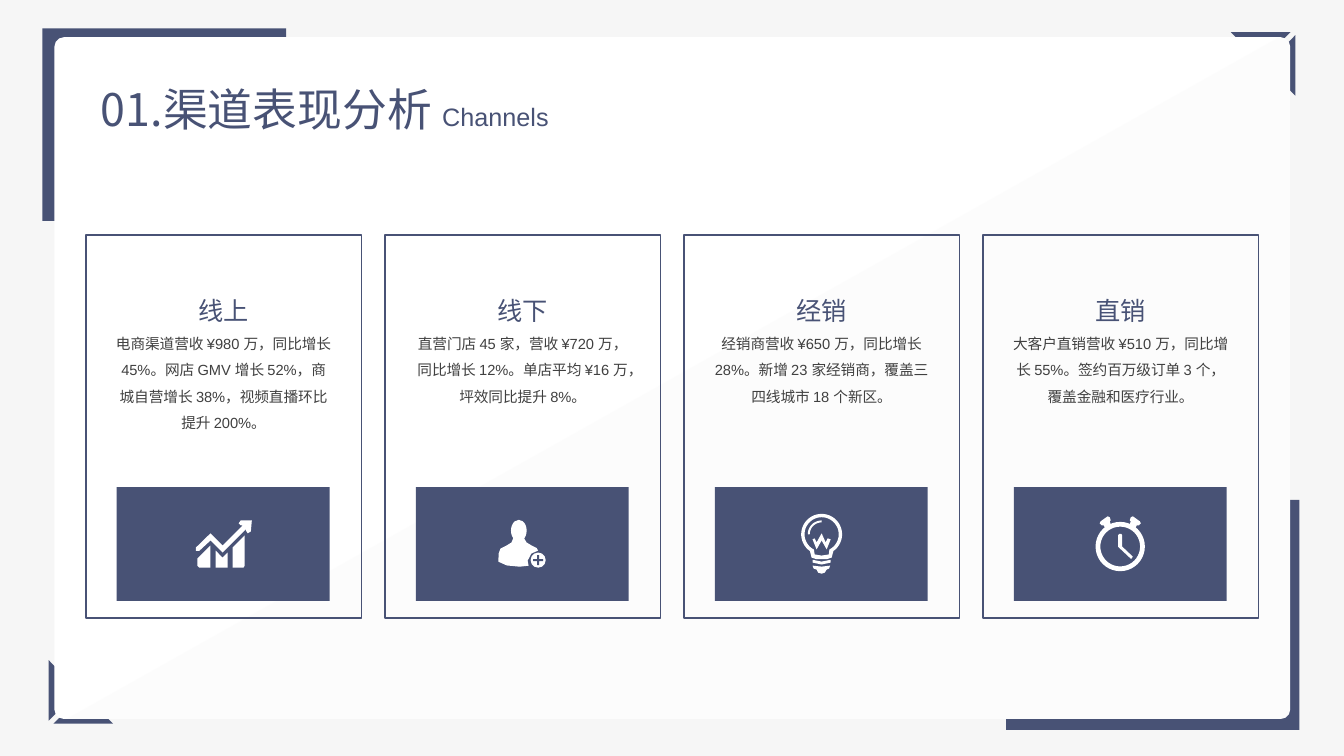
from math import cos, radians, sin

from lxml import etree
from pptx import Presentation
from pptx.dml.color import RGBColor
from pptx.enum.shapes import MSO_SHAPE
from pptx.enum.text import MSO_ANCHOR, MSO_AUTO_SIZE, PP_ALIGN
from pptx.oxml.ns import qn
from pptx.util import Pt

RECT, ROUND = MSO_SHAPE.RECTANGLE, MSO_SHAPE.ROUNDED_RECTANGLE
OVAL, CROSS = MSO_SHAPE.OVAL, MSO_SHAPE.CROSS
TOP, GROW = MSO_ANCHOR.TOP, MSO_AUTO_SIZE.SHAPE_TO_FIT_TEXT
LEFT, CENTER = PP_ALIGN.LEFT, PP_ALIGN.CENTER
NAVY, WHITE, GRAY = "485275", "FFFFFF", "404040"
HAN = "Noto Sans CJK SC"
WIDE, HIGH = 960, 540


def color(code):
    """Turn a hex string into a colour."""
    return RGBColor.from_string(code)


def paint(shape, fill=None, line=None):
    """Set fill and line and drop the shadow."""
    shape.shadow.inherit = False
    if fill:
        shape.fill.solid()
        shape.fill.fore_color.rgb = color(fill)
    else:
        shape.fill.background()
    if line:
        shape.line.color.rgb = color(line)
        shape.line.width = Pt(1)
    else:
        shape.line.fill.background()
    return shape


def block(shapes, kind, box, fill=None, line=None):
    """Add a preset shape in a box given in points."""
    return paint(shapes.add_shape(kind, *map(Pt, box)), fill, line)


def outline(shapes, loops, fill, left=0, top=0):
    """Add one freeform made of closed loops, shifted by left and top."""
    form = None
    for loop in loops:
        first, *rest = [(Pt(left + x), Pt(top + y)) for x, y in loop]
        if form is None:
            form = shapes.build_freeform(*first, scale=1.0)
        else:
            form.move_to(*first)
        form.add_line_segments(rest, close=True)
    return paint(form.convert_to_shape(), fill)


def arc(mid, radius, start, end, steps=40):
    """List points along an arc, with angles running clockwise."""
    turns = [radians(start + (end - start) * i / steps) for i in range(steps + 1)]
    return [(mid[0] + radius * cos(t), mid[1] + radius * sin(t)) for t in turns]


def write(para, words, size, shade=NAVY, face="Arial", align=CENTER, space=None):
    """Add a formatted run to a paragraph."""
    para.alignment = align
    if space:
        para.line_spacing = space
    run = para.add_run()
    run.text = words
    run.font.size = Pt(size)
    run.font.name = face
    run.font.color.rgb = color(shade)
    etree.SubElement(run.font._element, qn("a:ea")).set("typeface", HAN)


def frame(shapes):
    """Draw the corner marks and the white sheet."""
    block(shapes, RECT, (30.2, 20.2, 174.2, 137.5), NAVY)
    block(shapes, RECT, (718.6, 357.1, 209.5, 164.2), NAVY)
    corner = [
        [(34.8, 471.6), (45.4, 482.4), (45.4, 504), (34.8, 514.8)],
        [(38.2, 517), (80.8, 517), (70.2, 506.3), (48.8, 506.3)],
    ]
    outline(shapes, corner, NAVY)
    outline(shapes, [[(WIDE - x, HIGH - y) for x, y in loop] for loop in corner], NAVY)
    left, top, width, height = sheet = (38.9, 26.6, 882.7, 487)
    block(shapes, ROUND, sheet, WHITE).adjustments[0] = 0.014
    right, base, bend = left + width, top + height, 6.8
    edge = [(left + 8.6, base), (right - 8, top)]
    edge += arc((right - bend, top + bend), bend, -90, 0, 8)
    edge += arc((right - bend, base - bend), bend, 0, 90, 8)
    sheen = outline(shapes, [edge], "F2F2F2")
    tint = sheen._element.find(".//" + qn("a:srgbClr"))
    etree.SubElement(tint, qn("a:alpha")).set("val", "16000")


def heading(title, box):
    """Place and fill the title placeholder."""
    title.left, title.top, title.width, title.height = map(Pt, box)
    body = title.text_frame
    body.word_wrap, body.auto_size = False, GROW
    body.vertical_anchor = TOP
    para = body.paragraphs[0]
    write(para, "01.渠道表现分析 ", 32, face=HAN, align=LEFT)
    write(para, "Channels", 18, align=LEFT)
    title._element.getparent().append(title._element)


def trend(shapes, left, top):
    """Draw bars under a rising arrow."""
    outline(shapes, [
        [(57.6, 51.1), (67, 41.8), (67, 57.6), (59, 57.6), (57.6, 56.2)],
        [(70.6, 45.4), (75.6, 50.4), (79.2, 46.8), (79.2, 57.6), (70.6, 57.6)],
        [(82.8, 43.2), (91.4, 34.6), (91.4, 56.2), (90.5, 57.6), (82.8, 57.6)],
        [(56.6, 43.2), (67, 33.1), (75.6, 41.8), (90, 27.4), (88.6, 27.4),
         (87.1, 25.9), (88.6, 23.8), (96.5, 23.8), (95.8, 31.7), (93.6, 33.1),
         (92.2, 31), (92.9, 29.5), (75.6, 46.8), (67, 38.2), (59, 45.6), (56.6, 45.6)],
    ], WHITE, left, top)


def person(shapes, left, top):
    """Draw a person with a plus badge."""
    block(shapes, OVAL, (left + 68, top + 23.4, 11.2, 15.4), WHITE)
    outline(shapes, [[
        (59, 53.3), (59.2, 47.5), (60.5, 44), (64.8, 41.8), (68.4, 39.6), (69.8, 36),
        (77, 36), (79.2, 39.6), (82.8, 41.8), (86.4, 43.6), (87.4, 45.4), (82.6, 47.5),
        (79.9, 52.6), (80.6, 56.2), (74.2, 56.9), (65, 56)]], WHITE, left, top)
    block(shapes, OVAL, (left + 82, top + 46.8, 10.8, 10.8), WHITE)
    plus = block(shapes, CROSS, (left + 83.8, top + 48.6, 7.2, 7.2), NAVY)
    plus.adjustments[0] = 0.4


def bulb(shapes, left, top):
    """Draw a light bulb."""
    mid = (76.3, 33.8)
    outline(shapes, [
        arc(mid, 14.6, 125, 415) + [(83.5, 50.4), (80, 51.6), (72.6, 51.6), (69.1, 50.4)],
        arc(mid, 12.2, 117, 423) + [(81.4, 48.2), (76.3, 49), (71.3, 48.2)],
        arc(mid, 9.9, 180, 270, 12) + arc(mid, 8.5, 270, 180, 12),
        [(79.2, 39.6), (76.3, 33.1), (72.7, 39.6), (71.3, 36.7), (69.8, 37.4),
         (72.7, 44.6), (76.3, 38.2), (79.9, 44.6), (82.8, 37.4), (80.6, 36.7)],
        [(69.8, 52), (76.3, 53.3), (82.8, 52), (82.8, 54), (76.3, 55.4), (69.8, 54)],
        [(69.8, 56.2), (76.3, 56.9), (82.4, 56.2), (81.6, 58.3), (79.9, 59),
         (78.5, 61.2), (76.3, 61.9), (73.8, 61.2), (72.7, 59), (70.6, 58.3)],
    ], WHITE, left, top)


def clock(shapes, left, top):
    """Draw an alarm clock."""
    mid = (76, 42.5)
    bell = [(82.8, 26.6), (83.5, 24.5), (82.8, 23.8), (83.5, 21.6), (85, 20.9),
            (90, 24.5), (90.7, 25.9), (89.3, 27.4), (87.8, 27.4), (86.5, 30)]
    outline(shapes, [
        arc(mid, 17.6, 0, 360), arc(mid, 14.2, 0, 360),
        [(74.6, 34.4), (75.3, 33.4), (76.7, 33.4), (77.4, 34.4), (77.4, 42.5),
         (85, 49.7), (83.8, 51.4), (75.8, 43.9), (74.6, 42.8)],
    ], WHITE, left, top)
    outline(shapes, [bell, [(2 * mid[0] - x, y) for x, y in bell]], WHITE, left, top)


def card(shapes, box, name, words, icon):
    """Draw one channel card with its text and icon panel."""
    left, top, width, height = box
    block(shapes, RECT, box, line=NAVY)
    side, drop = left + 22.1, top + 180
    block(shapes, RECT, (side, drop, 152.1, 81.4), NAVY)
    area = (left + 14.4, top + 28.8, width - 28.8, 116.6)
    body = shapes.add_textbox(*map(Pt, area)).text_frame
    body.word_wrap, body.auto_size = True, GROW
    write(body.paragraphs[0], name, 18, space=1.5)
    write(body.add_paragraph(), words, 10.5, GRAY, space=1.5)
    icon(shapes, side, drop)


CARDS = [
    ("线上", "电商渠道营收 ¥980 万，同比增长 45%。网店 GMV 增长 52%，"
     "商城自营增长 38%，视频直播环比提升 200%。", trend),
    ("线下", "直营门店 45 家，营收 ¥720 万，同比增长 12%。"
     "单店平均 ¥16 万，坪效同比提升 8%。", person),
    ("经销", "经销商营收 ¥650 万，同比增长 28%。"
     "新增 23 家经销商，覆盖三四线城市 18 个新区。", bulb),
    ("直销", "大客户直销营收 ¥510 万，同比增长 55%。"
     "签约百万级订单 3 个，覆盖金融和医疗行业。", clock),
]


def main():
    """Build the slide and save it."""
    deck = Presentation()
    deck.slide_width, deck.slide_height = Pt(WIDE), Pt(HIGH)
    slide = deck.slides.add_slide(deck.slide_layouts[5])
    slide.background.fill.solid()
    slide.background.fill.fore_color.rgb = color("F6F6F6")
    frame(slide.shapes)
    heading(slide.shapes.title, (64.8, 54.7, 414, 46.1))
    for i, (name, words, icon) in enumerate(CARDS):
        card(slide.shapes, (61.3 + 213.6 * i, 167.9, 196.8, 273.6), name, words, icon)
    deck.save("out.pptx")


if __name__ == "__main__":
    main()
